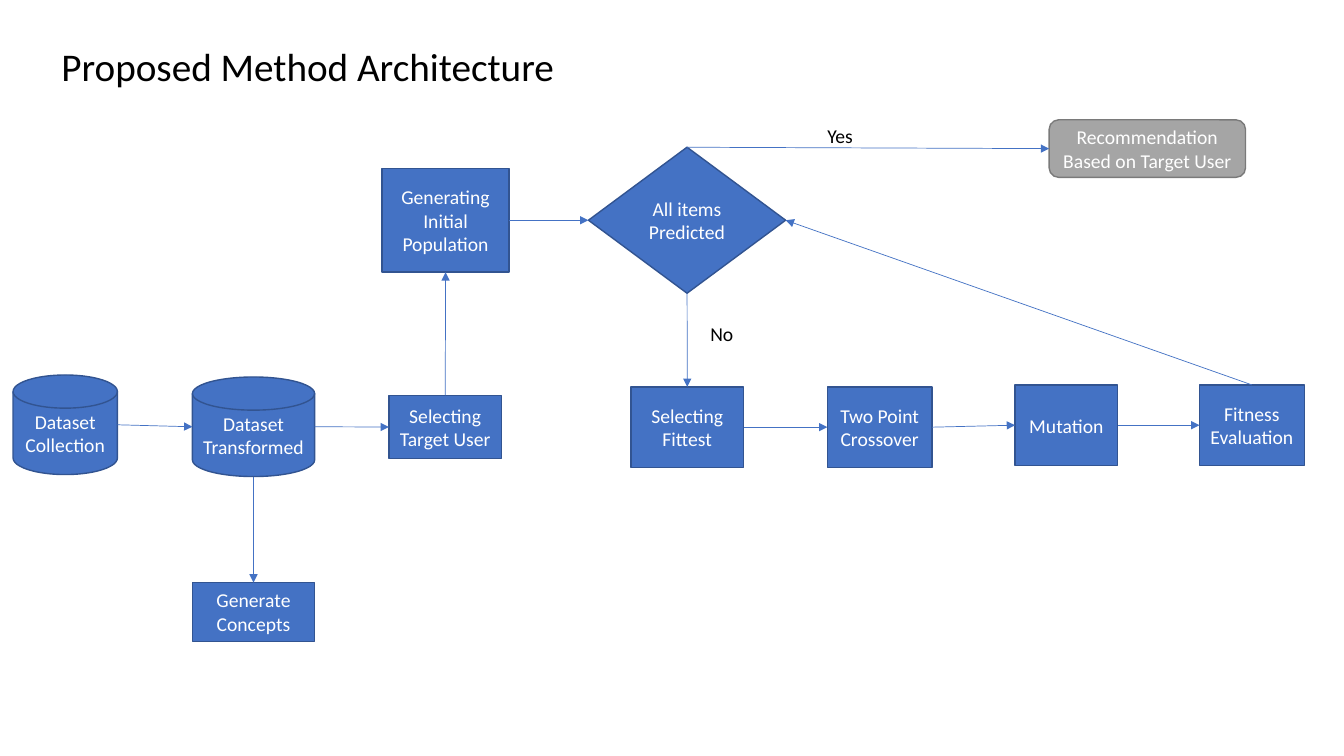
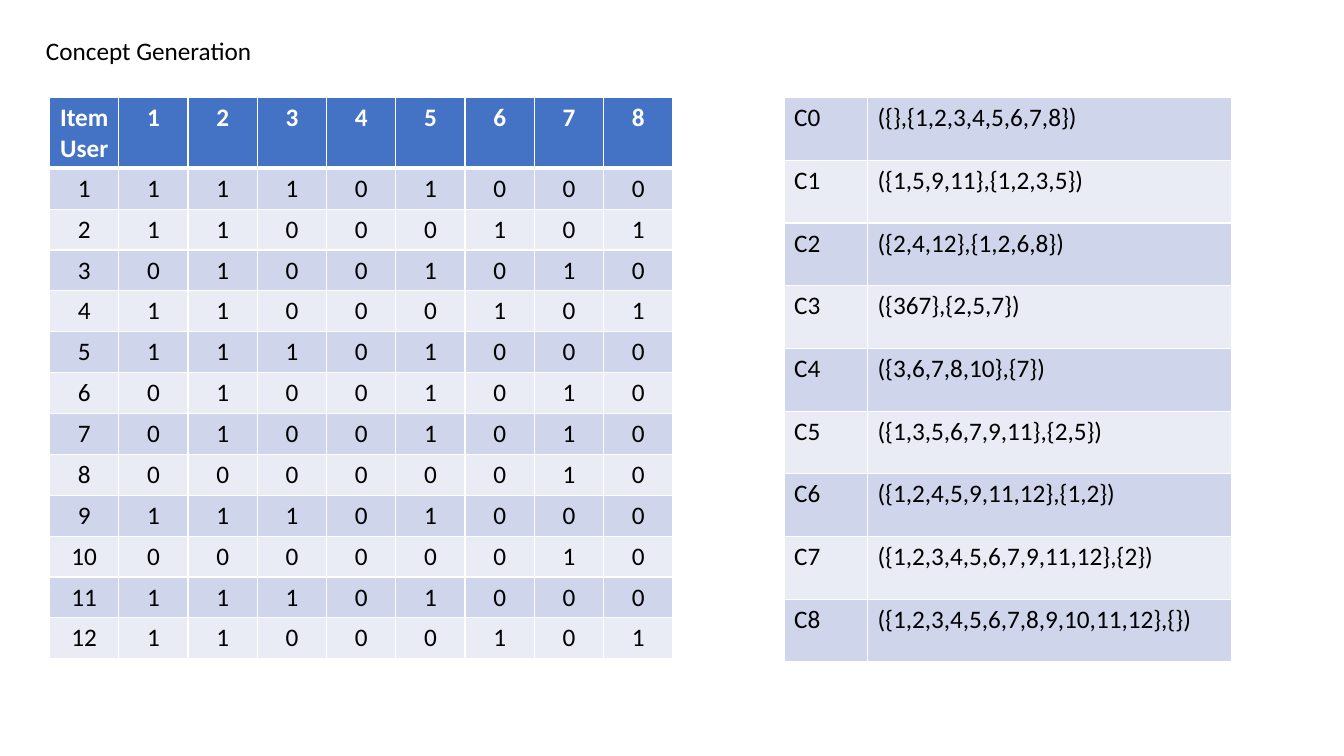
from dataclasses import dataclass

from lxml import etree
from pptx import Presentation
from pptx.dml.color import RGBColor
from pptx.enum import shapes, text
from pptx.oxml.ns import qn
from pptx.util import Cm, Pt


@dataclass(frozen=True)
class Theme:
    font: str = "Calibri"
    title: int = 28
    body: int = 18
    label: int = 14
    black: str = "000000"
    white: str = "FFFFFF"
    blue: str = "4472C4"
    blue_edge: str = "325491"
    grey: str = "A5A5A5"
    grey_edge: str = "7A7A7A"
    bands: tuple = ("CFD5EA", "E9EBF5")


T = Theme()
KIND = shapes.MSO_SHAPE
DISK, BOX = KIND.FLOWCHART_MAGNETIC_DISK, KIND.RECTANGLE
DECISION, RESULT = KIND.FLOWCHART_DECISION, KIND.ROUNDED_RECTANGLE
SIDES = ("top", "left", "bottom", "right")

# Content: flowchart (lengths in cm: left, top, width, height)
NODES = {
    "collection": ("Dataset Collection", DISK, (0.33, 9.45, 2.63, 2.51)),
    "transformed": ("Dataset Transformed", DISK, (4.85, 9.5, 3.08, 2.51)),
    "target": ("Selecting Target User", BOX, (9.8, 9.96, 2.84, 1.6)),
    "population": ("Generating Initial Population", BOX, (9.63, 4.24, 3.2, 2.62)),
    "concepts": ("Generate Concepts", BOX, (4.85, 14.68, 3.08, 1.48)),
    "fittest": ("Selecting Fittest", BOX, (15.9, 9.75, 2.84, 2.03)),
    "crossover": ("Two Point Crossover", BOX, (20.85, 9.75, 2.64, 2.03)),
    "mutation": ("Mutation", BOX, (25.58, 9.7, 2.59, 2.03)),
    "fitness": ("Fitness Evaluation", BOX, (30.23, 9.7, 2.64, 2.03)),
    "predicted": ("All items Predicted", DECISION, (14.83, 3.71, 4.97, 3.68)),
    "result": ("Recommendation Based on Target User", RESULT,
               (26.44, 3.02, 4.95, 1.45)),
}
ARROWS = [
    ("collection", "right", "transformed", "left"),
    ("transformed", "right", "target", "left"),
    ("transformed", "bottom", "concepts", "top"),
    ("target", "top", "population", "bottom"),
    ("population", "right", "predicted", "left"),
    ("predicted", "bottom", "fittest", "top"),
    ("predicted", "top", "result", "left"),
    ("fittest", "right", "crossover", "left"),
    ("crossover", "right", "mutation", "left"),
    ("mutation", "right", "fitness", "left"),
    ("fitness", "top", "predicted", "right"),
]
ANSWERS = [("No", (17.65, 7.98, 1.45, 0.86)), ("Yes", (20.6, 3.0, 1.68, 0.86))]

# Content: which items each user chose, and the concepts found
RATINGS = ["11101000", "11000101", "01001010", "11000101", "11101000", "01001010",
           "01001010", "00000010", "11101000", "00000010", "11101000", "11000101"]
CONCEPTS = [
    "({},{1,2,3,4,5,6,7,8})",
    "({1,5,9,11},{1,2,3,5})",
    "({2,4,12},{1,2,6,8})",
    "({367},{2,5,7})",
    "({3,6,7,8,10},{7})",
    "({1,3,5,6,7,9,11},{2,5})",
    "({1,2,4,5,9,11,12},{1,2})",
    "({1,2,3,4,5,6,7,9,11,12},{2})",
    "({1,2,3,4,5,6,7,8,9,10,11,12},{})",
]


def rgb(value):
    return RGBColor.from_string(value)


def write(tf, content, size=T.body, color=T.black, bold=False, center=False):
    for i, line in enumerate(content.split("\n")):
        p = tf.add_paragraph() if i else tf.paragraphs[0]
        p.alignment = text.PP_ALIGN.CENTER if center else text.PP_ALIGN.LEFT
        r = p.add_run()
        r.text = line
        r.font.name, r.font.size, r.font.bold = T.font, Pt(size), bold
        r.font.color.rgb = rgb(color)


def add_text(s, content, box, **style):
    tf = s.shapes.add_textbox(*map(Cm, box)).text_frame
    tf.word_wrap = True
    tf.auto_size = text.MSO_AUTO_SIZE.SHAPE_TO_FIT_TEXT
    write(tf, content, **style)


def add_node(s, label, kind, box):
    sp = s.shapes.add_shape(kind, *map(Cm, box))
    sp.shadow.inherit = False
    fill, edge = (T.grey, T.grey_edge) if kind == RESULT else (T.blue, T.blue_edge)
    sp.fill.solid()
    sp.fill.fore_color.rgb = rgb(fill)
    sp.line.color.rgb = rgb(edge)
    sp.line.width = Pt(1)
    sp.text_frame.word_wrap = True
    sp.text_frame.vertical_anchor = text.MSO_ANCHOR.MIDDLE
    write(sp.text_frame, label, size=T.label, color=T.white, center=True)
    return sp


def side_point(sp, side):
    dx, dy = {"top": (1, 0), "left": (0, 1), "bottom": (1, 2), "right": (2, 1)}[side]
    return sp.left + sp.width * dx // 2, sp.top + sp.height * dy // 2


def add_arrow(s, start, start_side, end, end_side):
    c = s.shapes.add_connector(shapes.MSO_CONNECTOR.STRAIGHT,
                               *side_point(start, start_side), *side_point(end, end_side))
    # Disks number their connection sites differently, so they stay unglued
    for sp, side, connect in ((start, start_side, c.begin_connect),
                              (end, end_side, c.end_connect)):
        if sp.auto_shape_type != DISK:
            connect(sp, SIDES.index(side))
    c.line.color.rgb = rgb(T.blue)
    c.line.width = Pt(0.5)
    etree.SubElement(c.line._get_or_add_ln(), qn("a:tailEnd"), type="triangle")
    etree.SubElement(c._element.spPr, qn("a:effectLst"))


def add_border(cell, edge, width):
    ln = etree.SubElement(cell._tc.get_or_add_tcPr(), qn(f"a:ln{edge}"), w=str(Pt(width)))
    fill = etree.SubElement(ln, qn("a:solidFill"))
    etree.SubElement(fill, qn("a:srgbClr"), val=T.white)


def add_grid(s, rows, left, top, widths, heights, header=False, center=False):
    table = s.shapes.add_table(len(rows), len(widths), Cm(left), Cm(top),
                               Cm(sum(widths)), Cm(sum(heights))).table
    table.first_row = header
    for column, width in zip(table.columns, widths):
        column.width = Cm(width)
    for i, (row, values) in enumerate(zip(table.rows, rows)):
        row.height = Cm(heights[i])
        head = header and i == 0
        fill = T.blue if head else T.bands[(i - header) % 2]
        for j, (cell, value) in enumerate(zip(row.cells, values)):
            if j == 0:
                add_border(cell, "L", 1)
            add_border(cell, "R", 1)
            if i == 0:
                add_border(cell, "T", 1)
            add_border(cell, "B", 3 if head else 1)
            cell.fill.solid()
            cell.fill.fore_color.rgb = rgb(fill)
            write(cell.text_frame, value, color=T.white if head else T.black,
                  bold=head, center=center)


prs = Presentation()
prs.slide_width, prs.slide_height = Cm(33.87), Cm(19.05)
blank = prs.slide_layouts[6]

# Slide 1: method flowchart
s = prs.slides.add_slide(blank)
add_text(s, "Proposed Method Architecture", (1.3, 0.94, 28.35, 1.45), size=T.title)
nodes = {name: add_node(s, *node) for name, node in NODES.items()}
for start, start_side, end, end_side in ARROWS:
    add_arrow(s, nodes[start], start_side, nodes[end], end_side)
for answer, box in ANSWERS:
    add_text(s, answer, box, size=T.label)

# Slide 2: rating table and concept list
s = prs.slides.add_slide(blank)
add_text(s, "Concept Generation", (0.91, 0.76, 6, 1.02))
items = ["Item\nUser"] + [str(n) for n in range(1, 9)]
users = [[str(n), *marks] for n, marks in enumerate(RATINGS, 1)]
add_grid(s, [items] + users, 1.25, 2.46, [1.745] * 9, [1.78] + [1.03] * 12,
         header=True, center=True)
add_grid(s, [(f"C{n}", concept) for n, concept in enumerate(CONCEPTS)],
         19.76, 2.46, [2.1, 9.18], [1.58] * 9)

prs.save("out.pptx")
